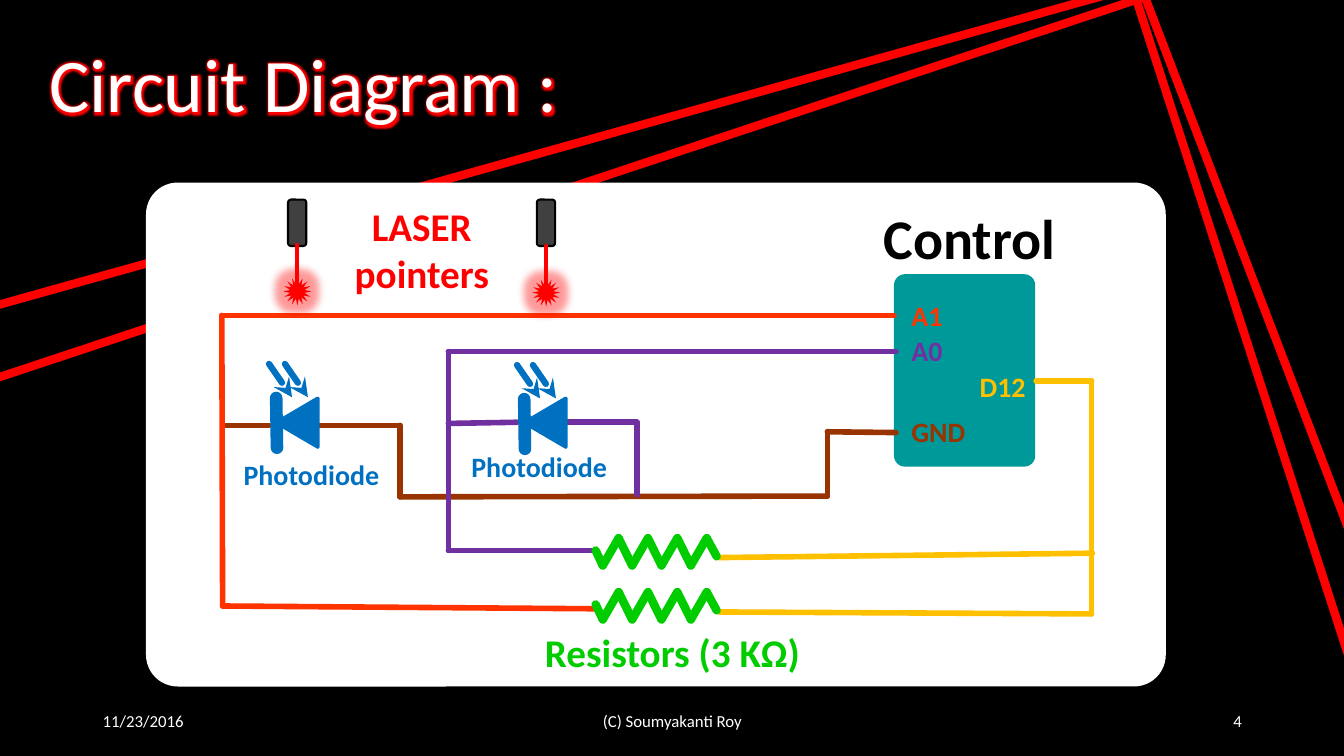
from dataclasses import dataclass
from itertools import pairwise

from lxml.etree import SubElement
from pptx import Presentation
from pptx.dml.color import RGBColor
from pptx.enum.shapes import MSO_CONNECTOR as Connector, MSO_SHAPE as Preset
from pptx.enum.text import MSO_ANCHOR as Anchor, MSO_AUTO_SIZE as AutoSize, PP_ALIGN as Align
from pptx.oxml.ns import qn
from pptx.shapes.autoshape import Shape
from pptx.slide import Slide
from pptx.util import Cm, Pt

COLORS = {
    "black": "000000", "white": "FFFFFF", "laser": "FF0000", "board": "009999",
    "red": "FF3300", "purple": "7030A0", "yellow": "FFC000", "brown": "993300",
    "green": "00CC00", "blue": "0070C0", "casing": "404040",
}
FONT = "Calibri"
Point = tuple[float, float]
Box = tuple[float, float, float, float]


@dataclass(frozen=True)
class Wire:
    color: str
    points: list[Point]
    width: float = 4


@dataclass(frozen=True)
class Label:
    text: str
    box: Box
    size: float
    color: str
    bold: bool = True
    align: Align = Align.CENTER
    footer: bool = False
    glow: bool = False


BACKGROUND_BEAMS = [
    Wire("laser", [(34.16, 17.07), (28.63, -0.03)], 6),
    Wire("laser", [(34.16, 13.79), (28.63, -0.66)], 6),
    Wire("laser", [(-0.46, 7.8), (28.24, -0.23)], 6),
    Wire("laser", [(-0.46, 9.65), (29.01, -0.13)], 6),
]
WIRES = [
    Wire("yellow", [(26.11, 9.6), (27.51, 9.6), (27.51, 15.47), (18.11, 15.42)]),
    Wire("yellow", [(27.53, 13.94), (18.11, 14.05)]),
    Wire("brown", [(5.69, 10.72), (6.78, 10.72)]),
    Wire("brown", [(8.03, 10.72), (10.08, 10.72), (10.08, 12.52), (20.85, 12.5),
                   (20.85, 10.88), (22.58, 10.9)]),
    Wire("purple", [(22.58, 8.86), (11.3, 8.86), (11.3, 10.67), (11.3, 13.87), (15.01, 13.87)]),
    Wire("purple", [(11.3, 10.67), (13.03, 10.64)]),
    Wire("purple", [(14.27, 10.64), (16.05, 10.64), (16.05, 12.47)]),
    Wire("red", [(22.53, 7.95), (5.59, 7.95), (5.61, 15.27), (15.01, 15.34)]),
]
LABELS = [
    Label("A1", (22.71, 7.39, 1.3, 1.12), 20, "red"),
    Label("A0", (22.71, 8.28, 1.3, 1.12), 20, "purple"),
    Label("D12", (24.43, 9.19, 1.68, 1.12), 20, "yellow"),
    Label("GND", (22.71, 10.31, 1.88, 1.12), 20, "brown"),
    Label("Circuit Diagram :", (0.99, 0.81, 13.46, 2.57), 54, "white", False, Align.LEFT,
          glow=True),
    Label("LASER\npointers", (8.66, 4.98, 3.94, 2.64), 28, "laser"),
    Label("Photodiode", (5.87, 11.4, 3.96, 1.12), 20, "blue"),
    Label("Photodiode", (11.61, 11.2, 3.96, 1.12), 20, "blue"),
    Label("Resistors (3 KΩ)", (13.39, 15.7, 7.11, 1.45), 28, "green"),
    Label("Control", (21.79, 5, 5.28, 1.96), 40, "black"),
    Label("(C) Soumyakanti Roy", (11.23, 17.65, 11.43, 1.02), 12, "white", False, footer=True),
    Label("11/23/2016", (2.34, 17.65, 7.62, 1.02), 12, "white", False, Align.LEFT, True),
    Label("4", (23.93, 17.65, 7.62, 1.02), 12, "white", False, Align.RIGHT, True),
]


def rgb(color: str) -> RGBColor:
    return RGBColor.from_string(COLORS[color])


def add_glow(properties, radius: float, opacity: int) -> None:
    """Give shape or run properties a red halo; radius in points, opacity in percent."""
    effects = properties.find(qn("a:effectLst"))
    if effects is None:
        effects = SubElement(properties, qn("a:effectLst"))
        fill = properties.find(qn("a:solidFill"))
        if fill is not None:
            fill.addnext(effects)
    glow = SubElement(effects, qn("a:glow"), rad=str(Pt(radius)))
    color = SubElement(glow, qn("a:srgbClr"), val=COLORS["laser"])
    SubElement(color, qn("a:alpha"), val=str(opacity * 1000))


def add_wire(slide: Slide, wire: Wire, arrow: bool = False) -> None:
    for start, end in pairwise(wire.points):
        connector = slide.shapes.add_connector(
            Connector.STRAIGHT, *(Cm(value) for value in (*start, *end)))
        connector.line.color.rgb = rgb(wire.color)
        connector.line.width = Pt(wire.width)
        outline = connector.line._get_or_add_ln()
        outline.set("cap", "rnd")
        SubElement(outline, qn("a:round"))
        if arrow:
            SubElement(outline, qn("a:tailEnd"), type="stealth")
        SubElement(connector._element.spPr, qn("a:effectLst"))


def add_part(slide: Slide, preset: Preset, box: Box, fill: str,
             line: str | None = None, width: float = 0, adjust: float | None = None) -> Shape:
    shape = slide.shapes.add_shape(preset, *(Cm(value) for value in box))
    shape.shadow.inherit = False
    shape.fill.solid()
    shape.fill.fore_color.rgb = rgb(fill)
    if line:
        shape.line.color.rgb = rgb(line)
        shape.line.width = Pt(width)
    else:
        shape.line.fill.background()
    if adjust is not None:
        shape.adjustments[0] = adjust
    return shape


def add_laser_pointer(slide: Slide, x: float, y: float) -> None:
    """Draw a pointer whose beam starts at x, y."""
    add_part(slide, Preset.ROUNDED_RECTANGLE, (x - 0.23, 5.03, 0.46, 1.17),
             "casing", "black", 1.5)
    add_wire(slide, Wire("laser", [(x, y), (x, y + 1.27)], 3))
    spot = add_part(slide, Preset.STAR_16_POINT, (x - 0.35, y + 0.82, 0.71, 0.71),
                    "laser", adjust=0.26)
    add_glow(spot._element.spPr, 11, 40)


def add_resistor(slide: Slide, x: float, y: float) -> None:
    """Draw a four-tooth zigzag that starts at x, y."""
    points = [(x, y)]
    for tooth in range(4):
        left = x + 0.18 + 0.74 * tooth
        points += [(left, y + 0.38), (left + 0.4, y - 0.31)]
    add_wire(slide, Wire("green", [*points, (x + 3.05, y + 0.15)], 6))


def add_photodiode(slide: Slide, x: float, y: float) -> None:
    """Draw a photodiode whose first light ray starts at x, y."""
    triangle = add_part(slide, Preset.ISOSCELES_TRIANGLE, (x + 0.1, 10.13, 1.22, 1.04),
                        "blue", "blue", 2.75)
    triangle.rotation = 270
    add_wire(slide, Wire("blue", [(x + 0.18, y + 0.86), (x + 0.2, y + 2.11)], 9))
    for ray in (x, x + 0.4):
        add_wire(slide, Wire("blue", [(ray, y), (ray + 0.58, y + 0.84)], 4.5), arrow=True)


def add_label(slide: Slide, label: Label) -> None:
    text_box = slide.shapes.add_textbox(*(Cm(value) for value in label.box))
    text_frame = text_box.text_frame
    text_frame.text = label.text
    text_frame.word_wrap = label.footer
    if label.footer:
        text_frame.vertical_anchor = Anchor.MIDDLE
    else:
        text_frame.auto_size = AutoSize.SHAPE_TO_FIT_TEXT
    for paragraph in text_frame.paragraphs:
        paragraph.alignment = label.align
        for run in paragraph.runs:
            run.font.name = FONT
            run.font.size = Pt(label.size)
            run.font.bold = label.bold
            run.font.color.rgb = rgb(label.color)
            if label.glow:
                add_glow(run.font._element, 5, 100)


def main() -> None:
    presentation = Presentation()
    presentation.slide_width, presentation.slide_height = Cm(33.87), Cm(19.05)
    slide = presentation.slides.add_slide(presentation.slide_layouts[6])
    slide.background.fill.solid()
    slide.background.fill.fore_color.rgb = rgb("black")

    for beam in BACKGROUND_BEAMS:
        add_wire(slide, beam)
    add_part(slide, Preset.ROUNDED_RECTANGLE, (3.68, 4.6, 25.7, 12.7), "white", adjust=0.063)
    add_part(slide, Preset.ROUNDED_RECTANGLE, (22.53, 6.91, 3.56, 4.85), "board", adjust=0.078)
    for wire in WIRES:
        add_wire(slide, wire)
    for x, y in ((7.49, 6.17), (13.76, 6.2)):
        add_laser_pointer(slide, x, y)
    for y in (13.87, 15.23):
        add_resistor(slide, 15.01, y)
    for x, y in ((6.78, 9.17), (13.03, 9.2)):
        add_photodiode(slide, x, y)
    for label in LABELS:
        add_label(slide, label)
    presentation.save("out.pptx")


if __name__ == "__main__":
    main()
